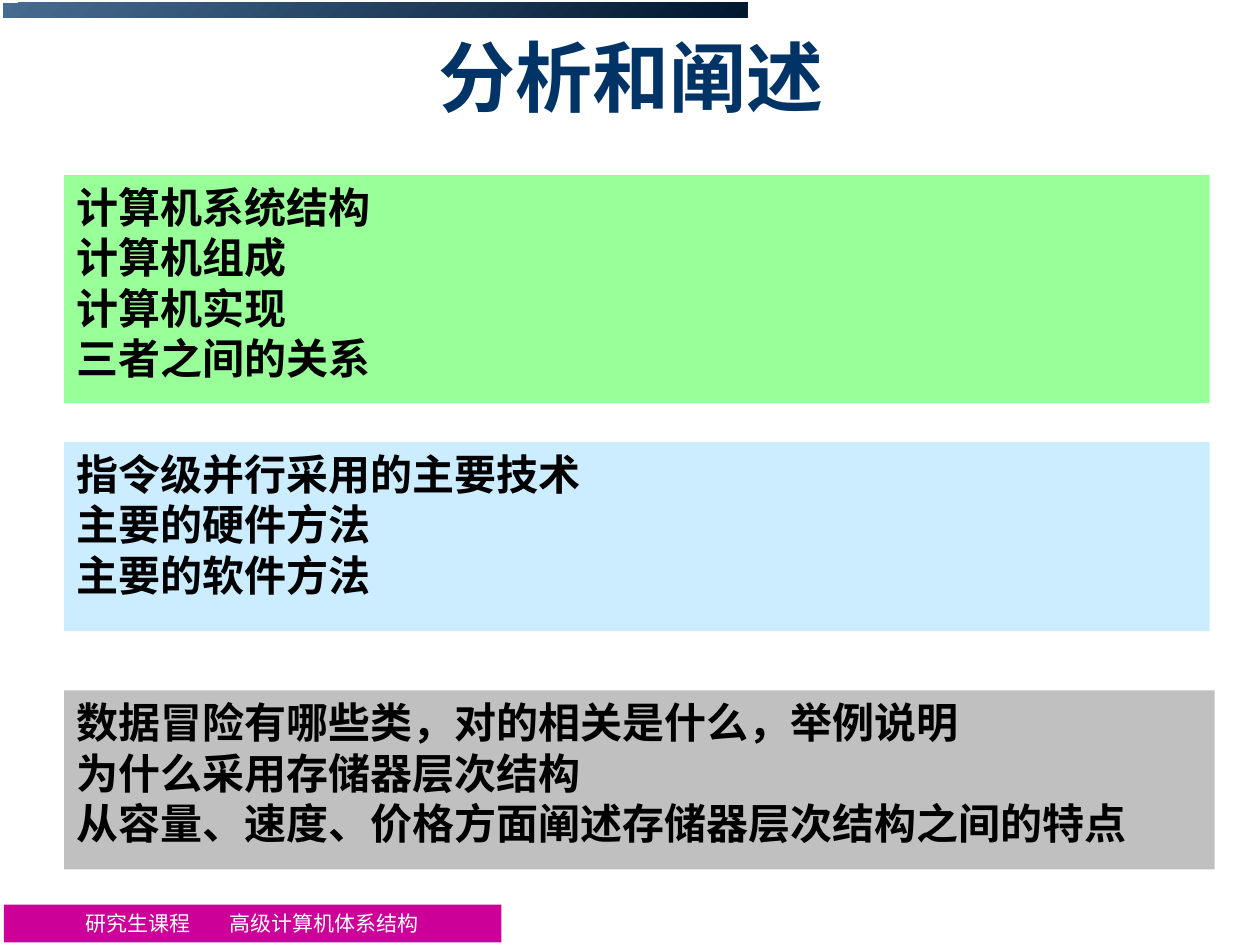
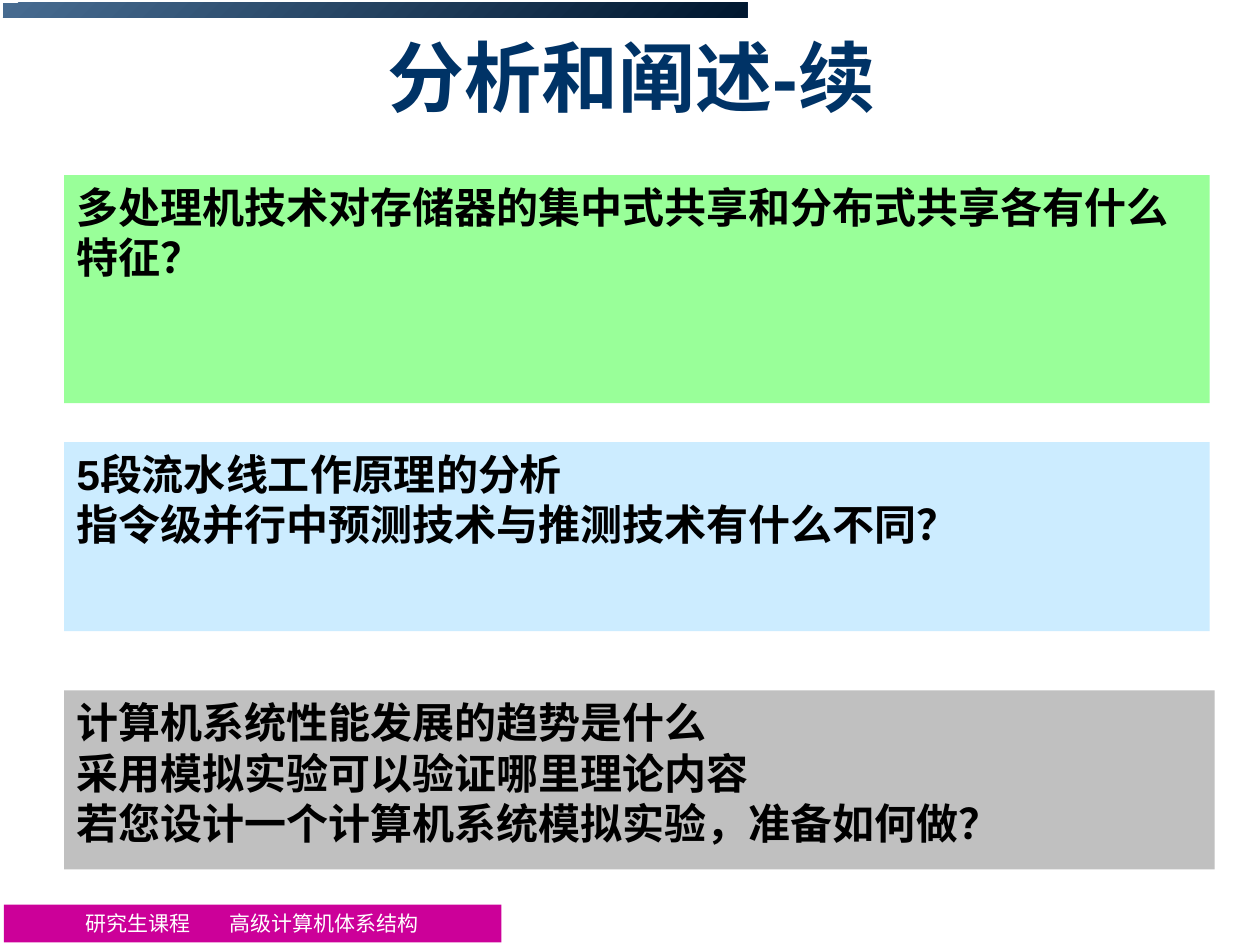
import pptx
import pptx.dml.color
import pptx.enum.shapes
import pptx.enum.text
import pptx.oxml.ns
import pptx.util
from lxml import etree
from pptx.dml.color import RGBColor
from pptx.util import Inches

# Colours
NAVY = RGBColor(0x00, 0x33, 0x66)
BAND_START = RGBColor(0x47, 0x6C, 0x91)
BAND_END = RGBColor(0x00, 0x17, 0x2F)
MAGENTA = RGBColor(0xCC, 0x00, 0x99)
GREEN = RGBColor(0x99, 0xFF, 0x99)
SKY = RGBColor(0xCC, 0xEC, 0xFF)
GREY = RGBColor(0xC0, 0xC0, 0xC0)
BLACK = RGBColor(0x00, 0x00, 0x00)
WHITE = RGBColor(0xFF, 0xFF, 0xFF)

# Text formats
TITLE_FORMAT = {"name": "Arial", "size": pptx.util.Pt(44), "bold": True}
PANEL_FORMAT = {"name": "Arial", "size": pptx.util.Pt(24), "bold": True}
FOOTER_FORMAT = {"name": "Times New Roman", "size": pptx.util.Pt(12), "bold": False}

# Question panels: left, top, width, height and fill
LEFT = 0.51
PANELS = [
    ((LEFT, 1.39, 9.09, 1.81), GREEN),
    ((LEFT, 3.51, 9.09, 1.5), SKY),
    ((LEFT, 5.48, 9.13, 1.42), GREY),
]

SLIDES = [
    ("分析和阐述", [
        ["计算机系统结构", "计算机组成", "计算机实现", "三者之间的关系"],
        ["指令级并行采用的主要技术", "主要的硬件方法", "主要的软件方法"],
        ["数据冒险有哪些类，对的相关是什么，举例说明",
         "为什么采用存储器层次结构",
         "从容量、速度、价格方面阐述存储器层次结构之间的特点"],
    ]),
    ("分析和阐述-续", [
        ["多处理机技术对存储器的集中式共享和分布式共享各有什么特征？"],
        ["5段流水线工作原理的分析", "指令级并行中预测技术与推测技术有什么不同？"],
        ["计算机系统性能发展的趋势是什么",
         "采用模拟实验可以验证哪里理论内容",
         "若您设计一个计算机系统模拟实验，准备如何做？"],
    ]),
]


class CourseDeck:
    """Holds the shared style and the slide being built."""

    def __init__(self):
        self.presentation = pptx.Presentation()
        self.presentation.slide_width = Inches(10)
        self.presentation.slide_height = Inches(7.5)
        self.slide = None

    def start_slide(self, title):
        layout = self.presentation.slide_layouts[5]
        self.slide = self.presentation.slides.add_slide(layout)
        self.add_band()
        self.add_footer()
        self.add_title(title)

    def add_rectangle(self, box, color=None):
        shape = self.slide.shapes.add_shape(
            pptx.enum.shapes.MSO_SHAPE.RECTANGLE, *map(Inches, box))
        shape.shadow.inherit = False
        shape.line.fill.background()
        if color is not None:
            shape.fill.solid()
            shape.fill.fore_color.rgb = color
        return shape

    def set_text(self, shape, lines, text_format, color, alignment, anchor):
        frame = shape.text_frame
        frame.word_wrap = True
        frame.auto_size = pptx.enum.text.MSO_AUTO_SIZE.NONE
        frame.vertical_anchor = anchor
        frame.text = "\n".join(lines)
        for paragraph in frame.paragraphs:
            paragraph.alignment = alignment
            for run in paragraph.runs:
                run.font.color.rgb = color
                for attribute, value in text_format.items():
                    setattr(run.font, attribute, value)

    def add_band(self):
        band = self.add_rectangle((0.02, 0.02, 5.91, 0.12))
        band.fill.gradient()
        band.fill.gradient_angle = 315
        for stop, color in zip(band.fill.gradient_stops, (BAND_START, BAND_END)):
            stop.color.rgb = color

    def add_footer(self):
        footer = self.add_rectangle((0.03, 7.18, 3.95, 0.3), MAGENTA)
        footer.text_frame.margin_left = Inches(0.65)
        self.set_text(footer, ["研究生课程\t高级计算机体系结构"], FOOTER_FORMAT, WHITE,
                      pptx.enum.text.PP_ALIGN.LEFT, pptx.enum.text.MSO_ANCHOR.MIDDLE)
        # A tab stop separates the programme from the course name
        properties = footer.text_frame.paragraphs[0]._p.get_or_add_pPr()
        tabs = etree.SubElement(properties, pptx.oxml.ns.qn("a:tabLst"))
        etree.SubElement(tabs, pptx.oxml.ns.qn("a:tab"),
                         pos=str(int(Inches(1.14))), algn="l")

    def add_title(self, text):
        title = self.slide.shapes.title
        box = {"left": LEFT, "top": 0.28, "width": 9, "height": 0.64}
        for attribute, value in box.items():
            setattr(title, attribute, Inches(value))
        self.set_text(title, [text], TITLE_FORMAT, NAVY,
                      pptx.enum.text.PP_ALIGN.CENTER, pptx.enum.text.MSO_ANCHOR.MIDDLE)

    def add_panel(self, box, color, lines):
        panel = self.add_rectangle(box, color)
        self.set_text(panel, lines, PANEL_FORMAT, BLACK,
                      pptx.enum.text.PP_ALIGN.LEFT, pptx.enum.text.MSO_ANCHOR.TOP)


def main():
    deck = CourseDeck()
    for title, questions in SLIDES:
        deck.start_slide(title)
        for (box, color), lines in zip(PANELS, questions):
            deck.add_panel(box, color, lines)
    deck.presentation.save("out.pptx")


if __name__ == "__main__":
    main()
